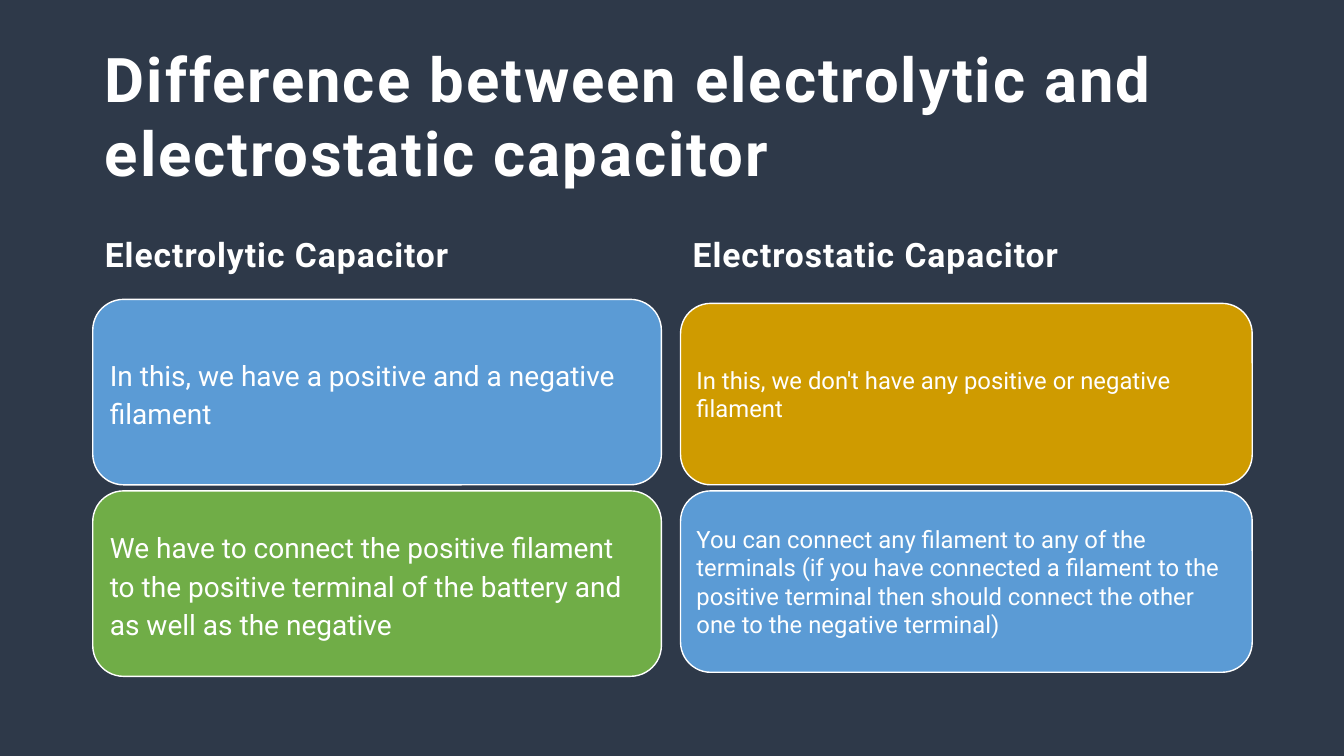
from pptx import Presentation
from pptx.dml.color import RGBColor
from pptx.enum.shapes import MSO_SHAPE
from pptx.enum.text import MSO_ANCHOR, MSO_AUTO_SIZE, PP_ALIGN
from pptx.util import Inches, Pt


def color(hex_string):
    return RGBColor.from_string(hex_string)


def write_text(shape, text, size, anchor, insets, bold=False, tracking=0, line_spacing=1.0):
    """Fill a shape with one left-aligned white paragraph; tracking is in points."""
    frame = shape.text_frame
    frame.word_wrap = True
    frame.auto_size = MSO_AUTO_SIZE.NONE
    frame.vertical_anchor = anchor
    frame.margin_left, frame.margin_top, frame.margin_right, frame.margin_bottom = map(Inches, insets)
    paragraph = frame.paragraphs[0]
    run = paragraph.add_run()
    run.text = text
    paragraph.alignment = PP_ALIGN.LEFT
    paragraph.line_spacing = line_spacing
    font = paragraph.font
    font.name = "Roboto"
    font.size = Pt(size)
    font.bold = bold
    font.color.rgb = color("FFFFFF")
    if tracking:
        run.font._element.set("spc", str(round(tracking * 100)))


HEADING_INSETS = (0.12, 0.12, 0.12, 0.1)
LOWER_CARD_TOP = 4.87

# heading, left, width, first card top, card height, inset, text size, line spacing, cards
COLUMNS = [
    ("Electrolytic Capacitor", 0.92, 5.64, 2.97, 1.84, 0.08, 20, 1.14, [
        ("5B9BD5", "In this, we have a positive and a negative filament"),
        ("70AD47", "We have to connect the positive filament to the positive terminal "
                   "of the battery and as well as the negative"),
    ]),
    ("Electrostatic Capacitor", 6.75, 5.67, 3.01, 1.8, 0.07, 17, 1.0, [
        ("CF9B00", "In this, we don't have any positive or negative filament"),
        ("5B9BD5", "You can connect any filament to any of the terminals (if you have "
                   "connected a filament to the positive terminal then should connect "
                   "the other one to the negative terminal)"),
    ]),
]

presentation = Presentation()
presentation.slide_width = Inches(13.33)
presentation.slide_height = Inches(7.5)
slide = presentation.slides.add_slide(presentation.slide_layouts[5])
slide.background.fill.solid()
slide.background.fill.fore_color.rgb = color("2E3949")

title = slide.shapes.title
title.left, title.top, title.width, title.height = map(Inches, (0.92, 0.4, 11.5, 1.45))
write_text(title, "Difference between electrolytic and electrostatic capacitor", 44,
           MSO_ANCHOR.MIDDLE, HEADING_INSETS, bold=True, tracking=1.4)

for heading_text, left, width, first_top, height, inset, size, line_spacing, cards in COLUMNS:
    heading = slide.shapes.add_textbox(Inches(left), Inches(1.92), Inches(width), Inches(0.9))
    write_text(heading, heading_text, 24, MSO_ANCHOR.BOTTOM, HEADING_INSETS,
               bold=True, tracking=0.7, line_spacing=1.14)

    for top, (fill, text) in zip((first_top, LOWER_CARD_TOP), cards):
        card = slide.shapes.add_shape(MSO_SHAPE.ROUNDED_RECTANGLE, Inches(left), Inches(top),
                                      Inches(width), Inches(height))
        card.shadow.inherit = False
        card.fill.solid()
        card.fill.fore_color.rgb = color(fill)
        card.line.color.rgb = color("FFFFFF")
        card.line.width = Pt(1)
        write_text(card, text, size, MSO_ANCHOR.MIDDLE, [inset] * 4, line_spacing=line_spacing)

presentation.save("out.pptx")
